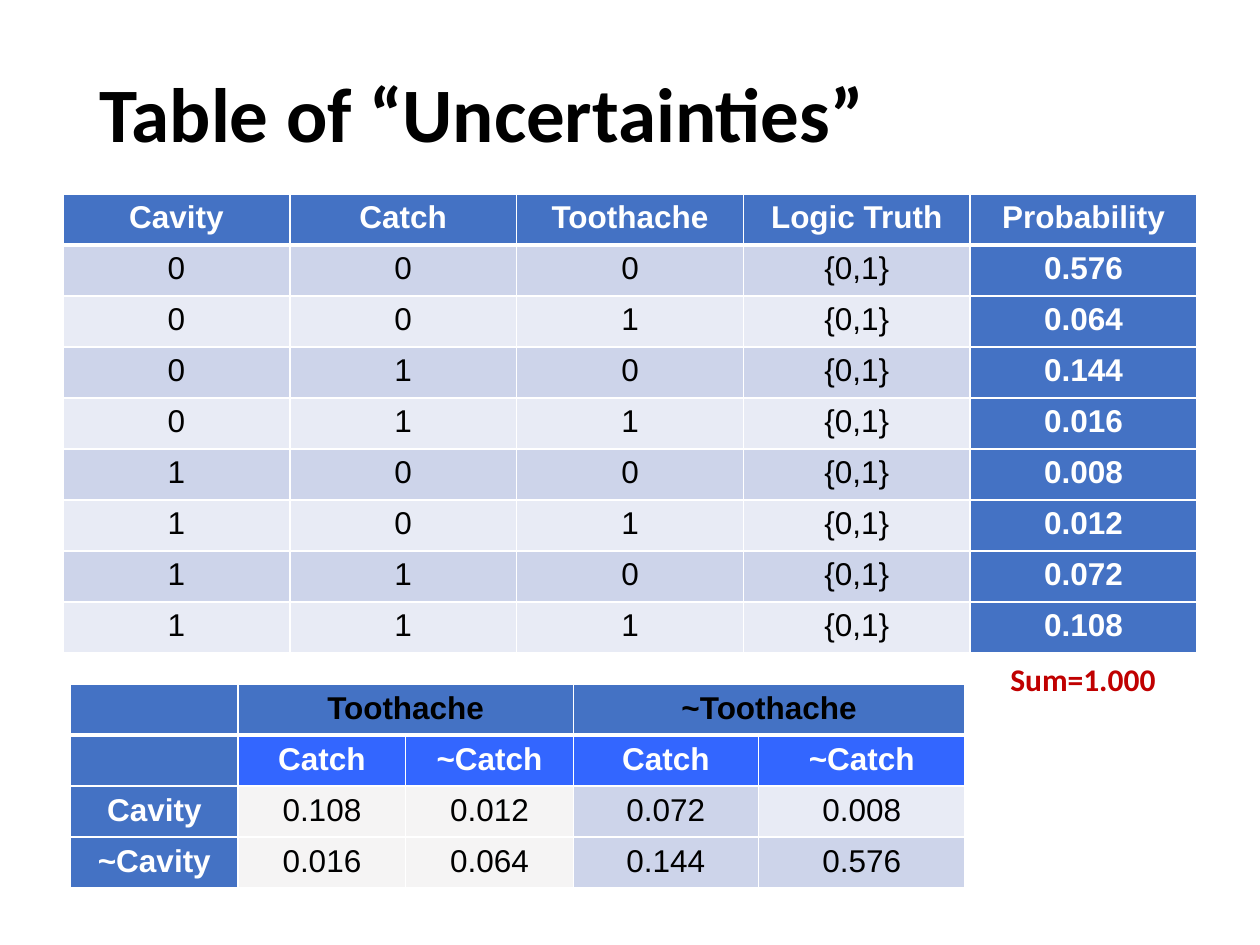
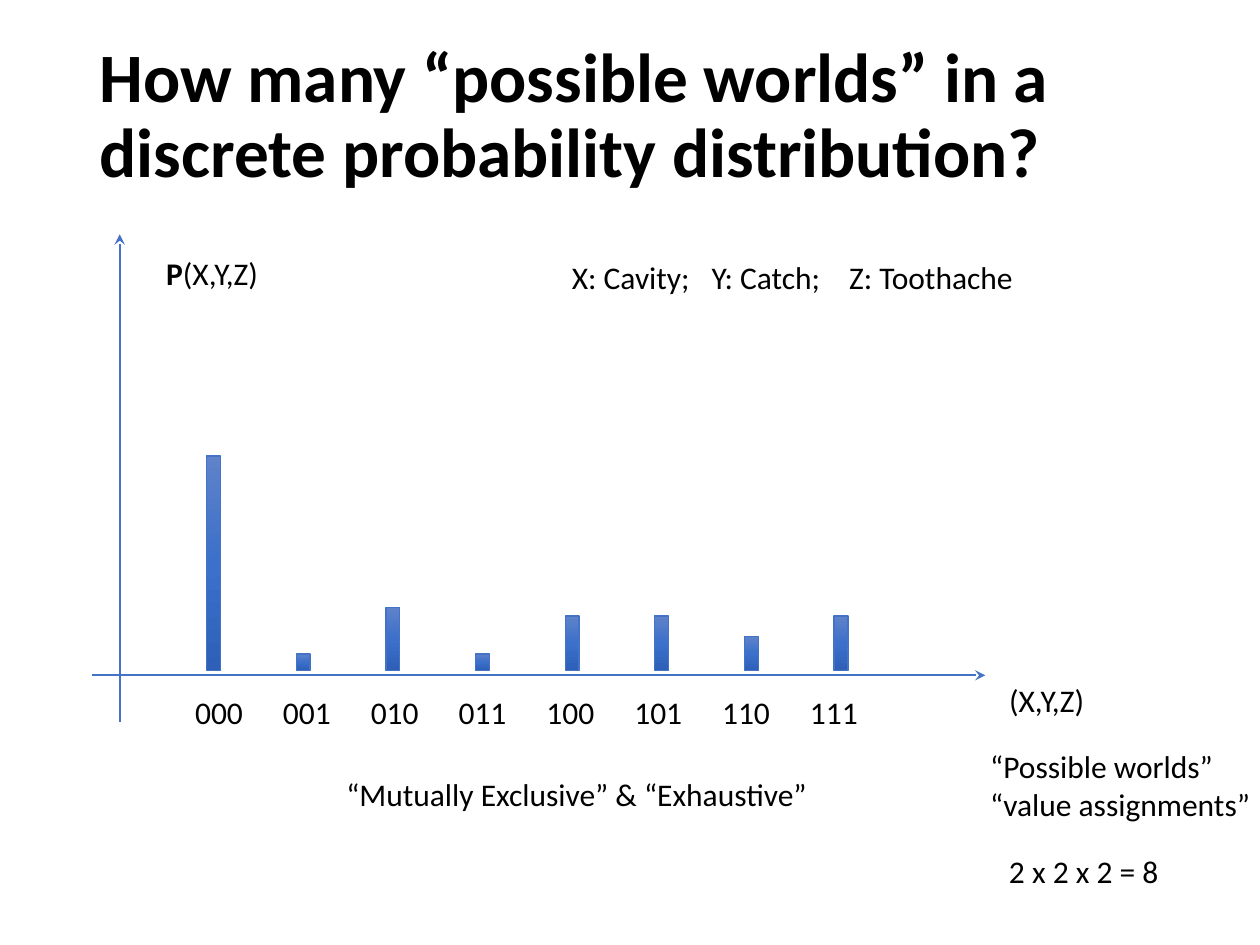
import copy

import lxml.etree
import pptx
import pptx.dml.color
import pptx.enum.dml
import pptx.enum.shapes
import pptx.enum.text
import pptx.oxml.ns
import pptx.util

Inches = pptx.util.Inches
Pt = pptx.util.Pt
qn = pptx.oxml.ns.qn

BLACK, WHITE, RED = "000000", "FFFFFF", "C00000"
BLUE, BRIGHT_BLUE = "4472C4", "3366FF"
BAND_DARK, BAND_LIGHT, PALE_GREY = "CDD4EA", "E8EBF5", "F5F4F4"
BAR_GRADIENT = [(0, "5F82CA"), (0.5, "3C70CA"), (1, "2E60B9")]
ROW_HEIGHT = 0.405

# Cavity, catch and toothache bits of each world, with its probability
WORLDS = {
    "000": "0.576", "001": "0.064", "010": "0.144", "011": "0.016",
    "100": "0.008", "101": "0.012", "110": "0.072", "111": "0.108",
}
BAR_TOPS = [3.62, 5.19, 4.82, 5.19, 4.89, 4.89, 5.05, 4.89]
BAR_BASE = 5.32


def rgb(hex_string):
    return pptx.dml.color.RGBColor.from_string(hex_string)


def set_font(font, size=18, name="Calibri", color=BLACK, bold=False):
    font.size = Pt(size)
    font.name = name
    font.bold = bold
    font.color.rgb = rgb(color)


def add_titled_slide(prs, title, size):
    slide = prs.slides.add_slide(prs.slide_layouts[5])
    heading = slide.shapes.title
    heading.left, heading.top = Inches(0.69), Inches(0.4)
    heading.width, heading.height = Inches(8.62), Inches(1.06)
    frame = heading.text_frame
    frame.text = title
    frame.auto_size = pptx.enum.text.MSO_AUTO_SIZE.NONE
    frame.vertical_anchor = pptx.enum.text.MSO_ANCHOR.MIDDLE
    paragraph = frame.paragraphs[0]
    paragraph.alignment = pptx.enum.text.PP_ALIGN.LEFT
    paragraph.line_spacing = 0.9
    set_font(paragraph.font, size, bold=True)
    return slide


def add_text(shapes, text, left, top, width, height=0.4, **font):
    box = shapes.add_textbox(Inches(left), Inches(top), Inches(width), Inches(height))
    frame = box.text_frame
    frame.word_wrap = True
    frame.text = text
    for paragraph in frame.paragraphs:
        set_font(paragraph.font, **font)
    return frame


def set_tab_stops(paragraph, stops):
    properties = paragraph._p.get_or_add_pPr()
    tab_list = lxml.etree.Element(qn("a:tabLst"))
    for stop in stops:
        lxml.etree.SubElement(tab_list, qn("a:tab"), pos=str(Inches(stop)), algn="l")
    properties.insert(0, tab_list)


def set_borders(cell, top, bottom):
    """Draw white cell borders; top and bottom are widths in points."""
    properties = cell._tc.get_or_add_tcPr()
    for side, width in (("L", 1), ("R", 1), ("T", top), ("B", bottom)):
        line = lxml.etree.SubElement(properties, qn(f"a:ln{side}"), w=str(Pt(width)))
        fill = lxml.etree.SubElement(line, qn("a:solidFill"))
        lxml.etree.SubElement(fill, qn("a:srgbClr"), val=WHITE)


def add_table(slide, rows, left, top, column_widths, cell_style):
    """Add a table; cell_style(row, column) gives fill, font colour and bold."""
    table = slide.shapes.add_table(
        len(rows), len(column_widths), Inches(left), Inches(top),
        Inches(sum(column_widths)), Inches(ROW_HEIGHT * len(rows))).table
    table.horz_banding = False
    for column, width in zip(table.columns, column_widths):
        column.width = Inches(width)
    for r, row in enumerate(rows):
        table.rows[r].height = Inches(ROW_HEIGHT)
        for c, text in enumerate(row):
            cell = table.cell(r, c)
            fill, color, bold = cell_style(r, c)
            set_borders(cell, top=3 if r == 1 else 1, bottom=3 if r == 0 else 1)
            cell.fill.solid()
            cell.fill.fore_color.rgb = rgb(fill)
            cell.text = text
            paragraph = cell.text_frame.paragraphs[0]
            paragraph.alignment = pptx.enum.text.PP_ALIGN.CENTER
            set_font(paragraph.font, name="Arial", color=color, bold=bold)
    return table


def worlds_style(row, column):
    if row == 0 or column == 4:
        return BLUE, WHITE, True
    return (BAND_DARK if row % 2 else BAND_LIGHT), BLACK, False


def joint_style(row, column):
    if row == 0:
        return BLUE, BLACK, True
    if column == 0:
        return BLUE, WHITE, True
    if row == 1:
        return BRIGHT_BLUE, WHITE, True
    if column < 3:
        return PALE_GREY, BLACK, False
    return (BAND_LIGHT if (row, column) == (2, 4) else BAND_DARK), BLACK, False


def add_axis(slide, start, end):
    axis = slide.shapes.add_connector(
        pptx.enum.shapes.MSO_CONNECTOR.STRAIGHT,
        *(Inches(value) for value in (*start, *end)))
    axis.line.color.rgb = rgb(BLUE)
    axis.line.width = Pt(1)
    lxml.etree.SubElement(axis.line._get_or_add_ln(), qn("a:tailEnd"), type="stealth")
    lxml.etree.SubElement(axis._element.spPr, qn("a:effectLst"))


def add_bar(slide, left, top):
    bar = slide.shapes.add_shape(
        pptx.enum.shapes.MSO_SHAPE.RECTANGLE,
        Inches(left), Inches(top), Inches(0.11), Inches(BAR_BASE - top))
    bar.shadow.inherit = False
    bar.line.color.rgb = rgb(BLUE)
    bar.line.width = Pt(0.75)
    bar.fill.gradient()
    bar.fill.gradient_angle = 270
    stop_list = bar._element.spPr.find(".//" + qn("a:gsLst"))
    stop_list.insert(1, copy.deepcopy(stop_list[0]))
    for stop, (position, color) in zip(bar.fill.gradient_stops, BAR_GRADIENT):
        stop.position = position
        stop.color.rgb = rgb(color)


def build_uncertainties(prs):
    slide = add_titled_slide(prs, "Table of “Uncertainties”", 44)
    rows = [["Cavity", "Catch", "Toothache", "Logic Truth", "Probability"]]
    rows += [[*bits, "{0,1}", probability] for bits, probability in WORLDS.items()]
    worlds = add_table(slide, rows, 0.5, 1.54, [1.8] * 5, worlds_style)
    worlds.last_col = True

    add_text(slide.shapes, "Sum=1.000", 7.92, 5.19, 1.37, color=RED, bold=True)

    rows = [["", "Toothache", "", "~Toothache", ""],
            ["", "Catch", "~Catch", "Catch", "~Catch"]]
    for label, cavity in (("Cavity", "1"), ("~Cavity", "0")):
        rows.append([label] + [WORLDS[cavity + rest] for rest in ("11", "01", "10", "00")])
    joint = add_table(slide, rows, 0.56, 5.43, [1.33, 1.33, 1.33, 1.47, 1.64], joint_style)
    joint.first_col = True
    for column in (1, 3):
        joint.cell(0, column).merge(joint.cell(0, column + 1))


def build_possible_worlds(prs):
    slide = add_titled_slide(
        prs, "How many “possible worlds” in a discrete probability distribution?", 39.6)
    shapes = slide.shapes
    add_axis(slide, (0.73, 5.36), (7.82, 5.36))
    add_axis(slide, (0.95, 5.73), (0.95, 1.86))

    distribution = add_text(shapes, "", 1.22, 1.97, 0.99).paragraphs[0]
    for text, bold in (("P", True), ("(X,Y,Z)", False)):
        run = distribution.add_run()
        run.text = text
        set_font(run.font, bold=bold)
    add_text(shapes, "(X,Y,Z)", 7.91, 5.36, 0.85)

    world_labels = shapes.add_group_shape().shapes
    for i, bits in enumerate(WORLDS):
        add_text(world_labels, bits, 1.45 + 4.88 / 7 * i, 5.45, 0.59)
    for i, top in enumerate(BAR_TOPS):
        add_bar(slide, 1.64 + 4.98 / 7 * i, top)

    variables = add_text(shapes, "X: Cavity;\tY: Catch;\tZ: Toothache", 4.44, 2, 3.76)
    set_tab_stops(variables.paragraphs[0], [1.11, 2.2])
    add_text(shapes, "“Possible worlds”\n“value assignments”", 7.76, 5.88, 2.29, 0.71)
    add_text(shapes, "“Mutually Exclusive” & “Exhaustive”", 2.65, 6.1, 3.9)
    add_text(shapes, "2 x 2 x 2 = 8", 7.91, 6.71, 1.4)


def main():
    prs = pptx.Presentation()
    prs.slide_width, prs.slide_height = Inches(10), Inches(7.5)
    build_uncertainties(prs)
    build_possible_worlds(prs)
    prs.save("out.pptx")


if __name__ == "__main__":
    main()
